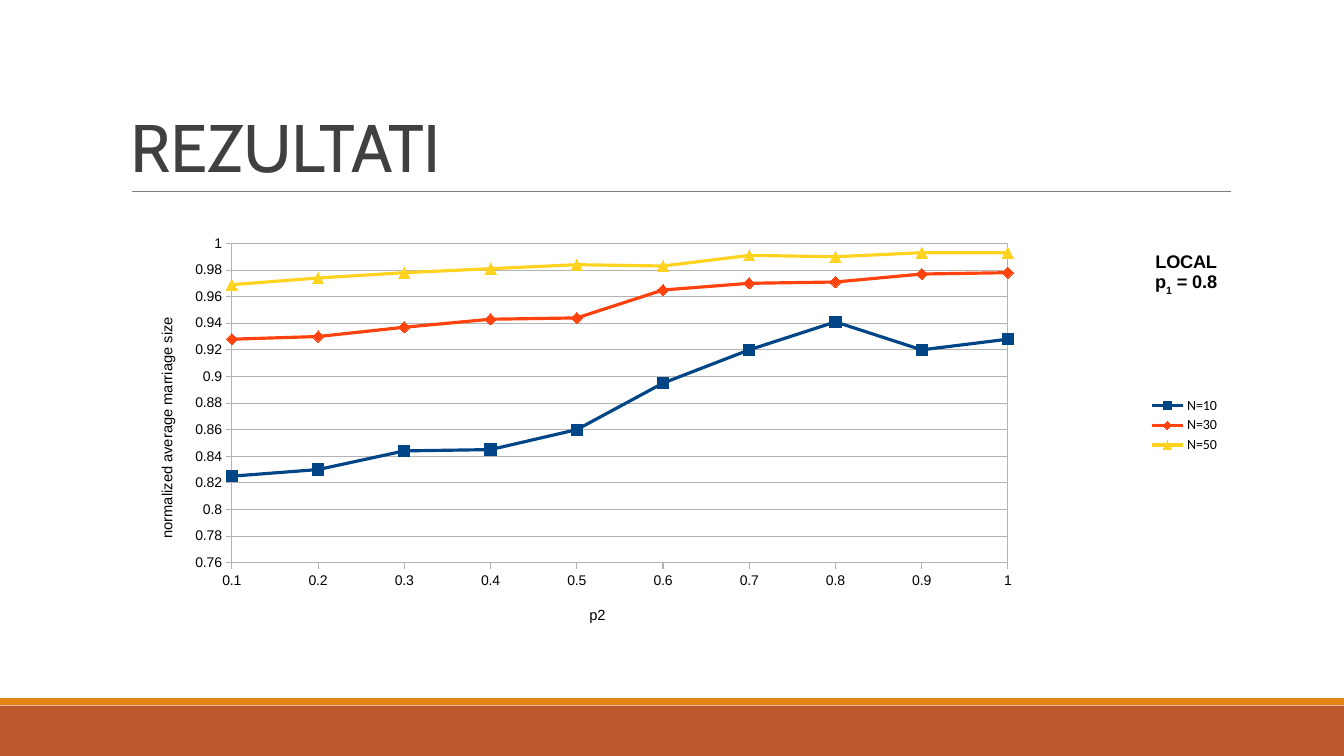
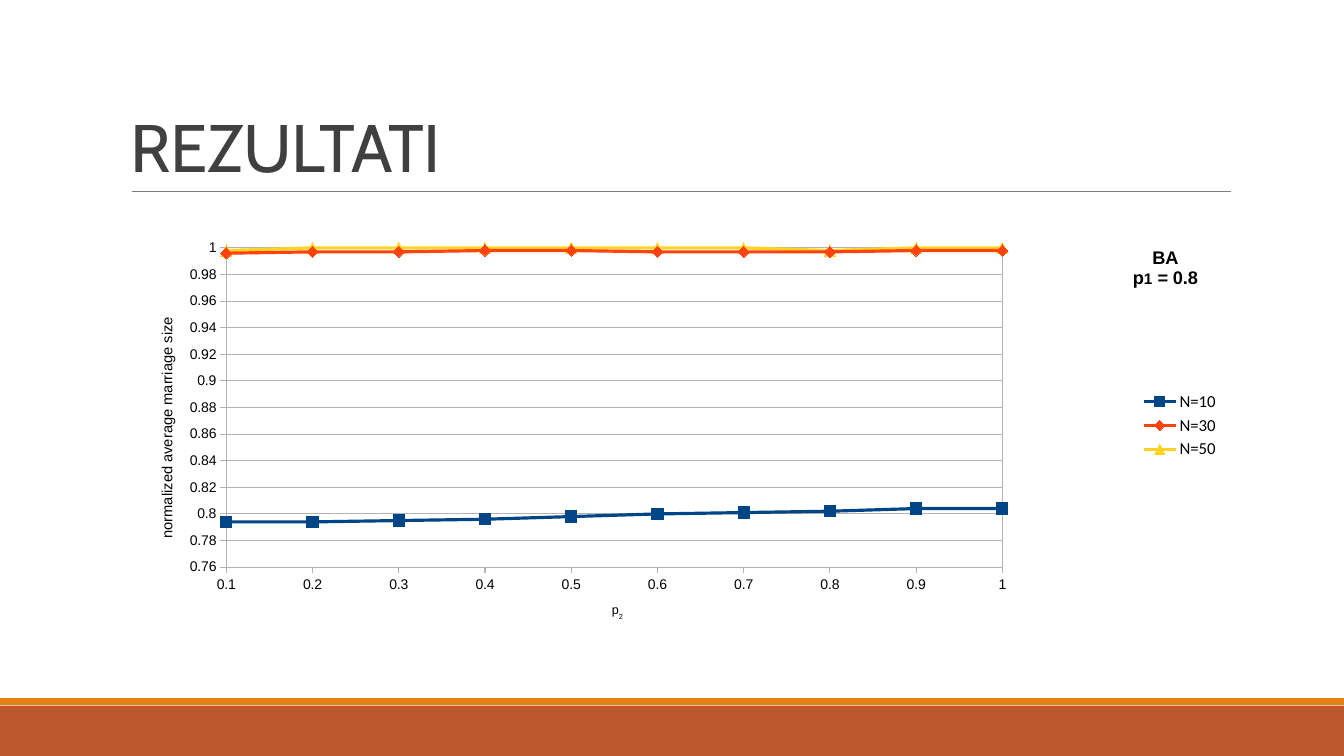
from lxml.etree import SubElement
from pptx import Presentation
from pptx.chart.data import XyChartData
from pptx.dml.color import RGBColor
from pptx.enum.chart import XL_CHART_TYPE, XL_LEGEND_POSITION, XL_MARKER_STYLE, XL_TICK_MARK
from pptx.enum.shapes import MSO_CONNECTOR, MSO_SHAPE
from pptx.enum.text import MSO_ANCHOR
from pptx.oxml import parse_xml
from pptx.oxml.ns import nsdecls, qn
from pptx.util import Pt

COLORS = {
    "rust": "BD582C",
    "orange": "E48312",
    "rule": "808080",
    "heading": "404040",
    "text": "000000",
    "paper": "FFFFFF",
    "grid": "B3B3B3",
    "N=10": "004586",
    "N=30": "FF420E",
    "N=50": "FFD320",
}
MARKERS = {
    "N=10": XL_MARKER_STYLE.SQUARE,
    "N=30": XL_MARKER_STYLE.DIAMOND,
    "N=50": XL_MARKER_STYLE.TRIANGLE,
}
PROBABILITIES = [step / 10 for step in range(1, 11)]

RESULTS = [
    {
        "title": [[("LOCAL", 13, 0)], [("p", 13, 0), ("1", 13, -33000), (" = 0.8", 13, 0)]],
        "title_at": (0.93, 0.1),
        "x_title": [[("p2", 10.5, 0)]],
        "x_title_at": (0.42, 0.9),
        "y_title_at": (0.03, 0.25),
        "plot": (0.1, 0.09, 0.7, 0.72),
        "legend_size": 10,
        "sizes": {
            "N=10": [0.825, 0.83, 0.844, 0.845, 0.86, 0.895, 0.92, 0.941, 0.92, 0.928],
            "N=30": [0.928, 0.93, 0.937, 0.943, 0.944, 0.965, 0.97, 0.971, 0.977, 0.978],
            "N=50": [0.969, 0.974, 0.978, 0.981, 0.984, 0.983, 0.991, 0.99, 0.993, 0.993],
        },
    },
    {
        "title": [[("BA", 13, 0)], [("p", 13, 0), ("1", 11, 0), (" = 0.8", 13, 0)]],
        "title_at": (0.91, 0.09),
        "x_title": [[("p", 9, 0), ("2", 9, -33000)]],
        "x_title_at": (0.44, 0.89),
        "y_title_at": (0.03, 0.25),
        "plot": (0.095, 0.1, 0.7, 0.72),
        "legend_size": 12,
        "sizes": {
            "N=10": [0.794, 0.794, 0.795, 0.796, 0.798, 0.8, 0.801, 0.802, 0.804, 0.804],
            "N=30": [0.996, 0.997, 0.997, 0.998, 0.998, 0.997, 0.997, 0.997, 0.998, 0.998],
            "N=50": [0.998, 1, 1, 1, 1, 1, 1, 0.998, 1, 1],
        },
    },
]


def rgb(name):
    return RGBColor.from_string(COLORS[name])


def place(element, *fractions):
    layout = element.find(qn("c:layout"))
    if layout is None:
        layout = parse_xml(f"<c:layout {nsdecls('c')}/>")
        element.insert(int(element.tag == qn("c:title")), layout)
    manual = SubElement(layout, qn("c:manualLayout"))
    if len(fractions) == 4:
        SubElement(manual, qn("c:layoutTarget")).set("val", "inner")
    for mode in ("xMode", "yMode"):
        SubElement(manual, qn(f"c:{mode}")).set("val", "edge")
    for key, fraction in zip("xywh", fractions):
        SubElement(manual, qn(f"c:{key}")).set("val", str(fraction))


class Deck:
    def __init__(self):
        self.presentation = Presentation()
        self.presentation.slide_width = Pt(960)
        self.presentation.slide_height = Pt(540)
        self.slide = None

    def start_slide(self, heading):
        self.slide = self.presentation.slides.add_slide(self.presentation.slide_layouts[6])
        self.band(504, 36, "rust")
        self.band(498.75, 5, "orange")
        self.rule(94.5, 879, 136.8)
        self.heading(heading)

    def band(self, top, height, color):
        band = self.slide.shapes.add_shape(MSO_SHAPE.RECTANGLE, 0, Pt(top), Pt(960), Pt(height))
        band.fill.solid()
        band.fill.fore_color.rgb = rgb(color)
        band.line.fill.background()
        band.shadow.inherit = False

    def rule(self, left, right, top):
        rule = self.slide.shapes.add_connector(
            MSO_CONNECTOR.STRAIGHT, Pt(left), Pt(top), Pt(right), Pt(top)
        )
        rule.line.color.rgb = rgb("rule")
        rule.line.width = Pt(0.5)
        SubElement(rule._element.spPr, qn("a:effectLst"))

    def heading(self, text):
        frame = self.slide.shapes.add_textbox(Pt(86.4), Pt(22.5), Pt(792), Pt(114.3)).text_frame
        frame.word_wrap = True
        frame.vertical_anchor = MSO_ANCHOR.BOTTOM
        paragraph = frame.paragraphs[0]
        paragraph.line_spacing = 0.85
        run = paragraph.add_run()
        run.text = text
        self.style(run.font, 48, "heading", "Cabin")
        run.font._element.set("spc", "-50")

    def style(self, font, size, color="text", face="Arial", bold=False):
        font.size = Pt(size)
        font.name = face
        font.bold = bold
        font.color.rgb = rgb(color)

    def caption(self, title, lines, position, bold=False):
        frame = title.text_frame
        for index, line in enumerate(lines):
            paragraph = frame.add_paragraph() if index else frame.paragraphs[0]
            for text, size, baseline in line:
                run = paragraph.add_run()
                run.text = text
                self.style(run.font, size, bold=bold)
                if baseline:
                    run.font._element.set("baseline", str(baseline))
        place(title._element, *position)

    def axis(self, axis, low, step, lines, position):
        axis.minimum_scale = low
        axis.maximum_scale = 1
        axis.major_unit = step
        axis.major_tick_mark = XL_TICK_MARK.OUTSIDE
        axis.minor_tick_mark = XL_TICK_MARK.NONE
        axis.tick_labels.number_format = "General"
        axis.tick_labels.number_format_is_linked = False
        self.style(axis.tick_labels.font, 10)
        self.grid_line(axis.format.line)
        self.caption(axis.axis_title, lines, position)

    def grid_line(self, line):
        line.color.rgb = rgb("grid")
        line.width = Pt(0.75)

    def result_chart(self, result):
        data = XyChartData(number_format="General")
        for name, sizes in result["sizes"].items():
            series = data.add_series(name)
            for probability, size in zip(PROBABILITIES, sizes):
                series.add_data_point(probability, size)
        chart = self.slide.shapes.add_chart(
            XL_CHART_TYPE.XY_SCATTER_LINES, Pt(86.4), Pt(145.4), Pt(792), Pt(316.8), data
        ).chart
        self.style(chart.font, 10, face="Calibri")
        self.backgrounds(chart)

        chart.has_title = True
        self.caption(chart.chart_title, result["title"], result["title_at"], bold=True)
        chart.has_legend = True
        chart.legend.position = XL_LEGEND_POSITION.RIGHT
        chart.legend.include_in_layout = False
        self.style(chart.legend.font, result["legend_size"], face="Calibri")

        across, upward = chart.category_axis, chart.value_axis
        across.has_major_gridlines = False
        upward.has_major_gridlines = True
        self.grid_line(upward.major_gridlines.format.line)
        self.axis(across, 0.1, 0.1, result["x_title"], result["x_title_at"])
        self.axis(
            upward, 0.76, 0.02,
            [[("normalized average marriage size", 10.5, 0)]], result["y_title_at"],
        )
        turned = upward.axis_title._element.find(f".//{qn('a:bodyPr')}")
        turned.set("rot", "-5400000")
        turned.set("vert", "horz")

        plot = chart.plots[0]
        plot.vary_by_categories = False
        for series in plot.series:
            self.series(series)
        place(chart._chartSpace.chart.plotArea, *result["plot"])

    def series(self, series):
        color = rgb(series.name)
        series.smooth = False
        series.format.line.color.rgb = color
        series.format.line.width = Pt(2.27)
        series.marker.style = MARKERS[series.name]
        series.marker.size = 8
        series.marker.format.fill.solid()
        series.marker.format.fill.fore_color.rgb = color
        series.marker.format.line.color.rgb = color

    def backgrounds(self, chart):
        space = chart._chartSpace
        space.find(qn("c:txPr")).addprevious(parse_xml(
            f'<c:spPr {nsdecls("c", "a")}><a:solidFill><a:srgbClr val="{COLORS["paper"]}"/>'
            "</a:solidFill><a:ln><a:noFill/></a:ln></c:spPr>"
        ))
        space.chart.plotArea.append(parse_xml(
            f'<c:spPr {nsdecls("c", "a")}><a:noFill/><a:ln w="{Pt(0.75)}"><a:solidFill>'
            f'<a:srgbClr val="{COLORS["grid"]}"/></a:solidFill></a:ln></c:spPr>'
        ))


def main():
    deck = Deck()
    for result in RESULTS:
        deck.start_slide("REZULTATI")
        deck.result_chart(result)
    deck.presentation.save("out.pptx")


if __name__ == "__main__":
    main()
